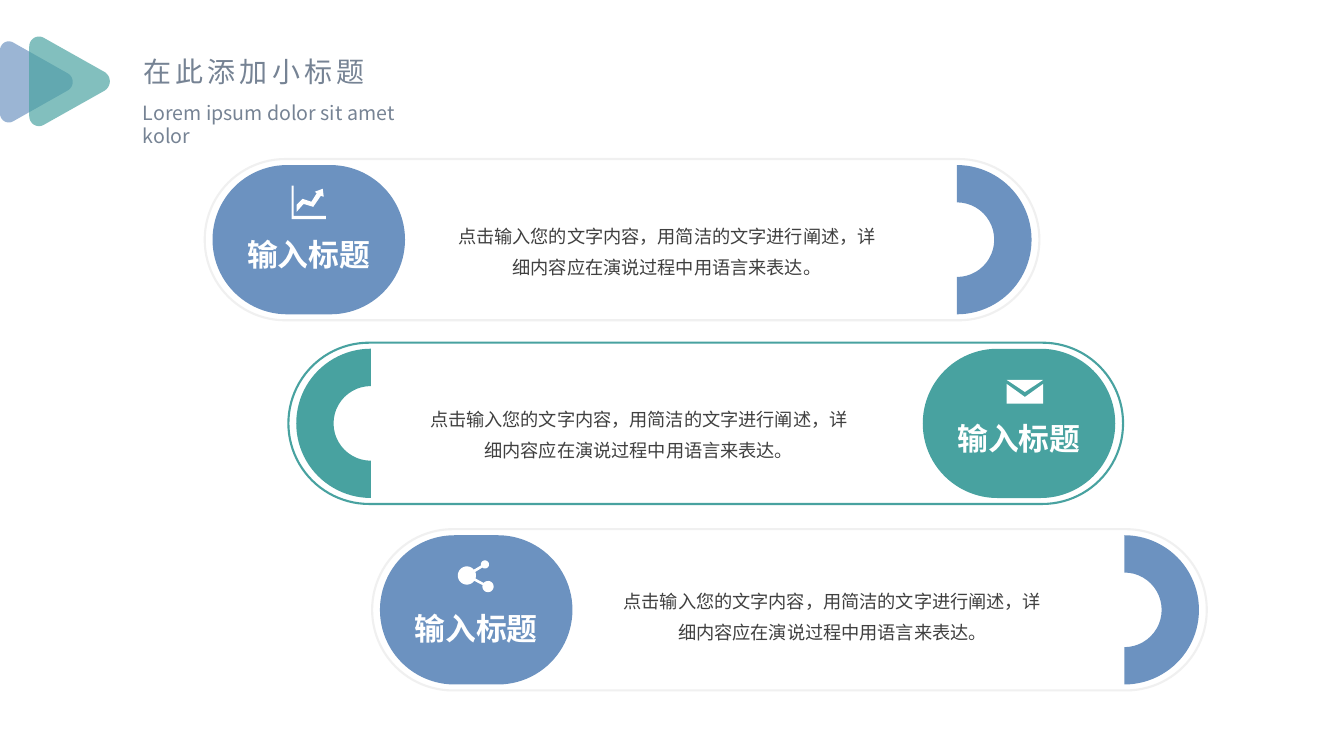
from math import cos, radians, sin

from lxml.etree import SubElement
from pptx import Presentation
from pptx.dml.color import RGBColor
from pptx.enum.shapes import MSO_SHAPE as Preset
from pptx.enum.text import MSO_ANCHOR as Anchor, MSO_AUTO_SIZE as AutoSize, PP_ALIGN as Align
from pptx.oxml.ns import qn
from pptx.util import Pt

BLUE = RGBColor(0x6C, 0x92, 0xC0)
TEAL = RGBColor(0x48, 0xA2, 0xA0)
SLATE = RGBColor(0x76, 0x83, 0x94)
DARK = RGBColor(0x40, 0x40, 0x40)
PALE = RGBColor(0xF0, 0xF0, 0xF0)
WHITE = RGBColor(0xFF, 0xFF, 0xFF)
FONT = "Noto Sans CJK SC"

LABEL = "输入标题"
DESCRIPTION = "点击输入您的文字内容，用简洁的文字进行阐述，详细内容应在演说过程中用语言来表达。"
ROW_WIDTH, ROW_HEIGHT = 596.2, 115.2
BADGE_WIDTH, BADGE_HEIGHT = 137.5, 106.6
SIDE_GAP = 5.6


def paint(shape, fill=None, line=None):
    shape.shadow.inherit = False
    if fill is None:
        shape.fill.background()
    else:
        shape.fill.solid()
        shape.fill.fore_color.rgb = fill
    if line is None:
        shape.line.fill.background()
    else:
        shape.line.color.rgb = line
        shape.line.width = Pt(1.5)
    return shape


def add_outline(slide, left, top, contours, fill):
    builder = None
    for contour in contours:
        points = [(Pt(left + x), Pt(top + y)) for x, y in contour]
        if builder is None:
            builder = slide.shapes.build_freeform(*points[0], scale=1.0)
        else:
            builder.move_to(*points[0])
        builder.add_line_segments(points[1:], close=True)
    return paint(builder.convert_to_shape(), fill)


def write(holder, text, size, color, align=Align.LEFT, inset=0, wrap=True, bold=False):
    frame = holder.text_frame
    frame.text = text
    frame.word_wrap = wrap
    frame.auto_size = AutoSize.SHAPE_TO_FIT_TEXT
    frame.vertical_anchor = Anchor.TOP
    frame.margin_left = frame.margin_right = Pt(inset)
    frame.margin_top = frame.margin_bottom = Pt(inset / 2)
    paragraph = frame.paragraphs[0]
    paragraph.alignment = align
    run = paragraph.runs[0]
    run.font.size = Pt(size)
    run.font.bold = bold
    run.font.color.rgb = color
    run.font.name = FONT
    SubElement(run.font._element, qn("a:ea"), typeface=FONT)
    return paragraph


def add_words(slide, left, top, width, height, *args, **style):
    box = slide.shapes.add_textbox(Pt(left), Pt(top), Pt(width), Pt(height))
    return write(box, *args, **style)


def curve(a, b, c, d, steps=10):
    for i in range(steps + 1):
        t = i / steps
        weights = (1 - t) ** 3, 3 * t * (1 - t) ** 2, 3 * t * t * (1 - t), t ** 3
        yield tuple(sum(w * p[axis] for w, p in zip(weights, (a, b, c, d))) for axis in (0, 1))


def arc(x, y, radius, start, end, steps=24):
    for i in range(steps + 1):
        angle = radians(start + (end - start) * i / steps)
        yield x + radius * cos(angle), y + radius * sin(angle)


def add_play_mark(slide, left, top, width, height, color):
    upper = list(curve((0.18, 0.02), (0.1, -0.02), (0, 0.03), (0, 0.12)))
    lower = [(x, 1 - y) for x, y in reversed(upper)]
    tip = list(curve((0.94, 0.6), (1.02, 0.55), (1.02, 0.45), (0.94, 0.4)))
    contour = [(x * width, y * height) for x, y in upper + lower + tip]
    mark = add_outline(slide, left, top, [contour], color)
    tint = mark.element.spPr.find(".//" + qn("a:srgbClr"))
    SubElement(tint, qn("a:alpha"), val="68000")


def add_header(slide, left, top):
    title = slide.shapes.title
    title.left, title.top = Pt(left), Pt(top)
    title.width, title.height = Pt(177), Pt(31.7)
    heading = write(title, "在此添加小标题", 20, SLATE, inset=7.2, wrap=False)
    heading.runs[0].font._element.set("spc", "300")
    add_words(slide, left, top + 33.1, 229.7, 24.5, "Lorem ipsum dolor sit amet kolor",
              14, SLATE, inset=7.2)
    add_play_mark(slide, 0, 29.2, 52, 58.7, BLUE)
    add_play_mark(slide, 20.9, 25.7, 57.6, 64.8, TEAL)


def chart_icon():
    axes = [(0, 0), (1.5, 0), (1.5, 21.6), (24.5, 21.6), (24.5, 23.8), (0, 23.8)]
    trend = [(22.3, 2.2), (23, 7.9), (20.9, 7.2), (15.5, 15.1), (8.6, 13), (3.6, 18.7),
             (3.6, 13.7), (7.9, 9.4), (14.2, 11.5), (18, 5.4), (16.6, 4.3)]
    return [axes, trend]


def envelope_icon():
    flap = [(0, 0), (26, 0), (13, 8.6)]
    pocket = [(0, 2.9), (13, 12.2), (26, 2.9), (26, 17), (0, 17)]
    return [flap, pocket]


def share_icon():
    hub = (6.5, 10.8, 6.5)
    return [[*arc(*hub, 36, 320), *arc(19.4, 2.9, 2.9, 166, 490),
             *arc(*hub, -23, 19), *arc(21.6, 18.7, 4, 220, 555)]]


def add_row(slide, left, top, color, border, mirrored, icon, icon_x, icon_y,
            text_x, text_y, label_y):
    pill = slide.shapes.add_shape(Preset.ROUNDED_RECTANGLE, Pt(left), Pt(top),
                                  Pt(ROW_WIDTH), Pt(ROW_HEIGHT))
    pill.adjustments[0] = 0.5
    paint(pill, line=border)

    inner_top = top + (ROW_HEIGHT - BADGE_HEIGHT) / 2
    near = left + SIDE_GAP
    far = left + ROW_WIDTH - SIDE_GAP
    badge_left = far - BADGE_WIDTH if mirrored else near
    arc_left = near if mirrored else far - BADGE_HEIGHT

    badge = slide.shapes.add_shape(Preset.ROUNDED_RECTANGLE, Pt(badge_left), Pt(inner_top),
                                   Pt(BADGE_WIDTH), Pt(BADGE_HEIGHT))
    badge.adjustments[0] = 0.5
    paint(badge, color)
    half_ring = slide.shapes.add_shape(Preset.BLOCK_ARC, Pt(arc_left), Pt(inner_top),
                                       Pt(BADGE_HEIGHT), Pt(BADGE_HEIGHT))
    half_ring.rotation = 270 if mirrored else 90
    paint(half_ring, color)

    add_outline(slide, badge_left + icon_x, inner_top + icon_y, icon, WHITE)
    description = add_words(slide, left + text_x, top + text_y, 306, 41.8,
                            DESCRIPTION, 13, DARK, align=Align.CENTER)
    description.line_spacing = Pt(22)
    add_words(slide, badge_left + (BADGE_WIDTH - 96.5) / 2, inner_top + label_y, 96.5, 26.6,
              LABEL, 22, WHITE, align=Align.CENTER, bold=True)


def main():
    deck = Presentation()
    deck.slide_width, deck.slide_height = Pt(960), Pt(540)
    slide = deck.slides.add_slide(deck.slide_layouts[5])
    add_header(slide, 95, 35.3)
    rows = [
        (113.6, BLUE, PALE, False, chart_icon(), 56.5, 14.8, 177.1, 41.2, 50.6),
        (244.8, TEAL, TEAL, True, envelope_icon(), 60, 22.3, 97.2, 40.3, 50.4),
        (378, BLUE, PALE, False, share_icon(), 55.6, 18, 175.7, 37.4, 53.3),
    ]
    for index, (top, *parts) in enumerate(rows):
        add_row(slide, 146.2 + 59.8 * index, top, *parts)
    deck.save("out.pptx")


if __name__ == "__main__":
    main()
